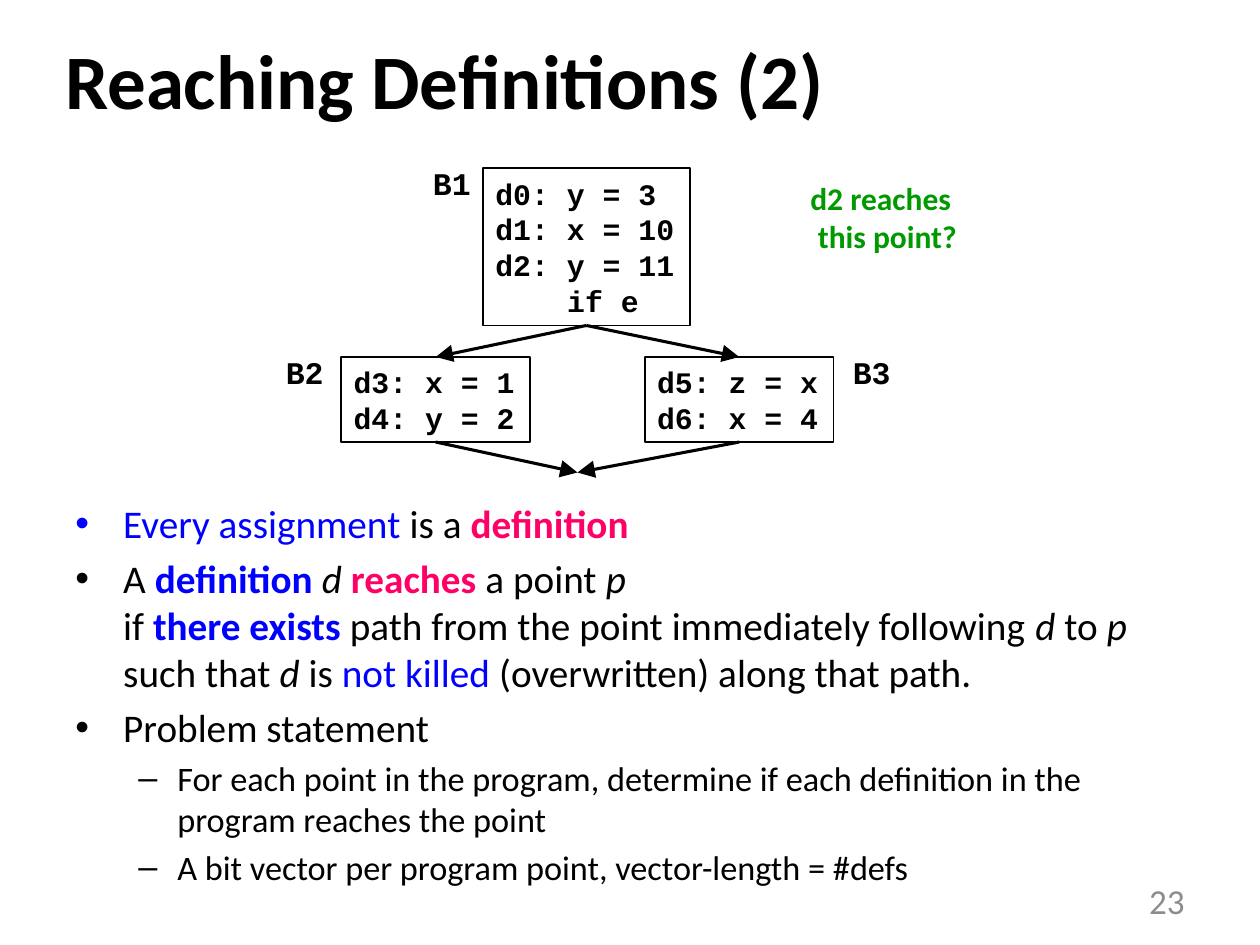
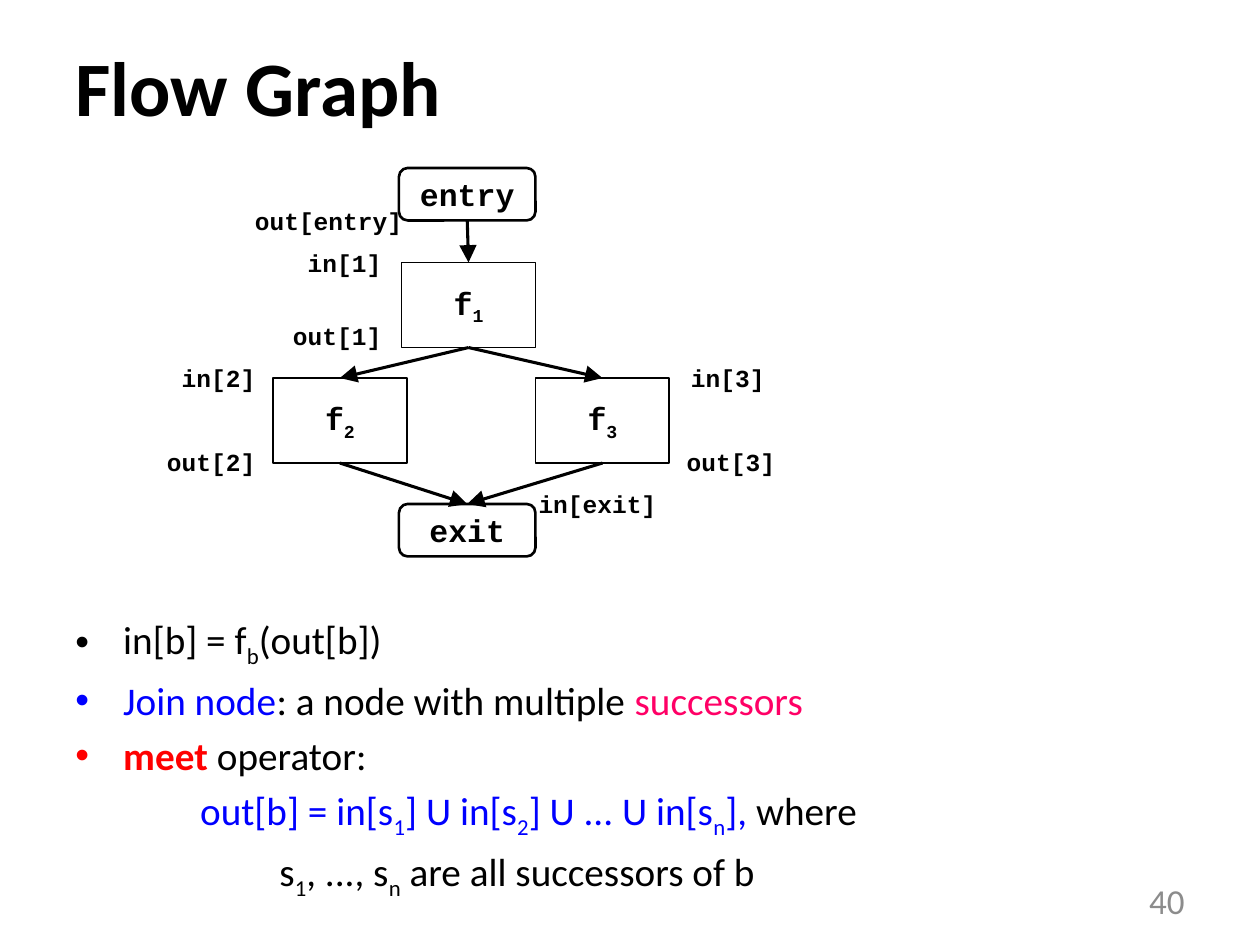
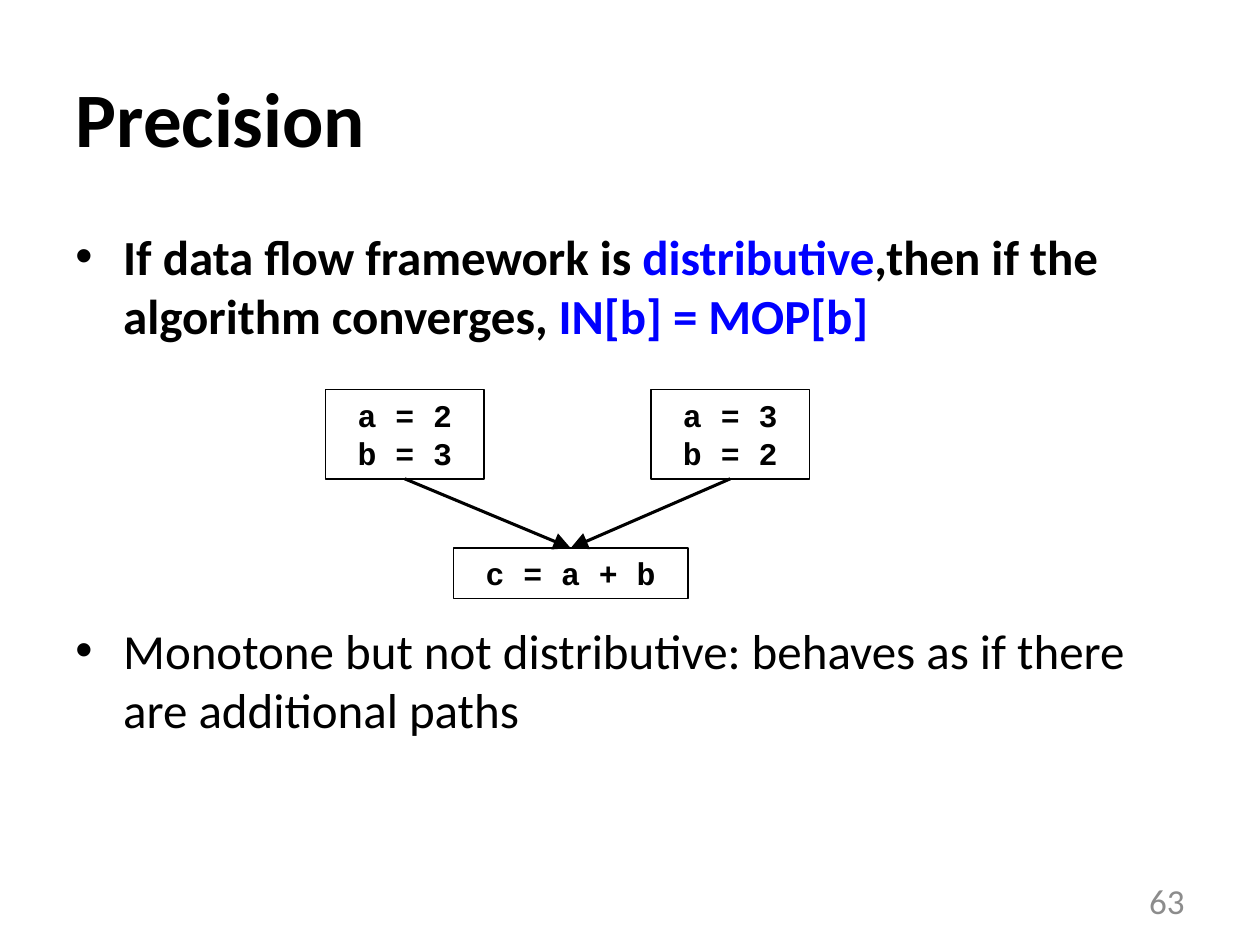
from typing import NamedTuple, Optional

import pptx
import pptx.dml.color
import pptx.enum.shapes
import pptx.enum.text
import pptx.oxml
import pptx.oxml.ns
import pptx.util

ALIGN = pptx.enum.text.PP_ALIGN
ANCHOR = pptx.enum.text.MSO_ANCHOR
SHAPE = pptx.enum.shapes.MSO_SHAPE
SLIDE_W, SLIDE_H = pptx.util.Inches(10), pptx.util.Inches(7.5)
COLS, ROWS = 120, 90
SANS, MONO = "Calibri", "Courier New"
COLORS = {
    "black": "000000",
    "blue": "0000FF",
    "pink": "FF0066",
    "red": "FF0000",
    "green": "009900",
    "gray": "8C8C8C",
}


class Box(NamedTuple):
    col: float
    row: float
    cols: float
    rows: float


class Span(NamedTuple):
    text: str
    color: str = "black"
    bold: bool = False
    italic: bool = False
    sub: bool = False


class Para(NamedTuple):
    spans: list[Span]
    size: float = 22.4
    bullet: Optional[str] = "•"
    left: float = 0.38
    hang: float = 0.38


class Node(NamedTuple):
    box: Box
    lines: list[list[Span]]
    size: float = 18
    align: ALIGN = ALIGN.CENTER
    shape: SHAPE = SHAPE.RECTANGLE
    line: float = 1


class Label(NamedTuple):
    text: str
    right: float
    row: float


def x(col: float) -> int:
    return round(SLIDE_W * col / COLS)


def y(row: float) -> int:
    return round(SLIDE_H * row / ROWS)


def place(box: Box) -> tuple[int, int, int, int]:
    return x(box.col), y(box.row), x(box.cols), y(box.rows)


def rgb(name: str) -> pptx.dml.color.RGBColor:
    return pptx.dml.color.RGBColor.from_string(COLORS[name])


def add_text(p, text: str, *, size: float, font: str = SANS, color: str = "black",
             bold: bool = False, italic: bool = False, sub: bool = False) -> None:
    for i, part in enumerate(text.split("\n")):
        if i:
            p.add_line_break()
        if not part:
            continue
        r = p.add_run()
        r.text = part
        r.font.size = pptx.util.Pt(size)
        r.font.name = font
        r.font.bold = bold
        r.font.italic = italic
        r.font.color.rgb = rgb(color)
        if sub:
            r.font._element.set("baseline", "-25000")


def indent(p, left: float, hang: float = 0, bullet: Optional[str] = None) -> None:
    pPr = p._p.get_or_add_pPr()
    pPr.set("marL", str(pptx.util.Inches(left)))
    pPr.set("indent", str(-pptx.util.Inches(hang)))
    if bullet:
        font = pptx.oxml.parse_xml(f'<a:buFont {pptx.oxml.ns.nsdecls("a")} typeface="Arial"/>')
        char = pptx.oxml.parse_xml(f'<a:buChar {pptx.oxml.ns.nsdecls("a")} char="{bullet}"/>')
        pPr.extend([font, char])


def paragraphs(tf, count: int) -> list:
    return [tf.paragraphs[0]] + [tf.add_paragraph() for _ in range(count - 1)]


def text_frame(s, box: Box, wrap: bool = True):
    tf = s.shapes.add_textbox(*place(box)).text_frame
    tf.word_wrap = wrap
    return tf


def add_body(s, box: Box, paras: list[Para]) -> None:
    tf = text_frame(s, box)
    for p, para in zip(paragraphs(tf, len(paras)), paras):
        p.space_before = pptx.util.Pt(round(para.size * 0.2, 1))
        indent(p, para.left, para.hang, para.bullet)
        for span in para.spans:
            add_text(p, size=para.size, **span._asdict())


def add_node(s, node: Node):
    sp = s.shapes.add_shape(node.shape, *place(node.box))
    sp.shadow.inherit = False
    sp.fill.background()
    sp.line.color.rgb = rgb("black")
    sp.line.width = pptx.util.Pt(node.line)
    tf = sp.text_frame
    tf.word_wrap = False
    tf.vertical_anchor = ANCHOR.MIDDLE
    for p, spans in zip(paragraphs(tf, len(node.lines)), node.lines):
        p.alignment = node.align
        for span in spans:
            add_text(p, size=node.size, font=MONO, **span._asdict())
    return sp


def add_arrow(s, start, end=None, point: tuple[float, float] = (0, 0)) -> None:
    kind = pptx.enum.shapes.MSO_CONNECTOR.STRAIGHT
    cx = s.shapes.add_connector(kind, 0, 0, x(point[0]), y(point[1]))
    cx.begin_connect(start, 2)
    if end is not None:
        cx.end_connect(end, 0)
    cx.line.color.rgb = rgb("black")
    cx.line.width = pptx.util.Pt(1.75)
    ns = pptx.oxml.ns.nsdecls("a")
    head = pptx.oxml.parse_xml(f'<a:tailEnd {ns} type="triangle" w="lg" len="lg"/>')
    cx.line._get_or_add_ln().append(head)
    cx._element.spPr.append(pptx.oxml.parse_xml(f"<a:effectLst {ns}/>"))


def add_labels(s, labels: list[Label], size: float) -> None:
    for label in labels:
        cols = len(label.text) * size * 0.1 + 3
        tf = text_frame(s, Box(label.right - cols, label.row, cols, 4))
        p = tf.paragraphs[0]
        p.alignment = ALIGN.RIGHT
        add_text(p, label.text, size=size, font=MONO, bold=True)


def add_slide(prs, title: str, number: str, col: float, row: float):
    s = prs.slides.add_slide(prs.slide_layouts[5])
    sp = s.shapes.title
    sp.left, sp.top, sp.width, sp.height = place(Box(col, row, 108, 15))
    tf = sp.text_frame
    tf.auto_size = pptx.enum.text.MSO_AUTO_SIZE.NONE
    tf.vertical_anchor = ANCHOR.MIDDLE
    tf.paragraphs[0].alignment = ALIGN.LEFT
    add_text(tf.paragraphs[0], title, size=44, bold=True)
    tf = text_frame(s, Box(86, 83.4, 28, 4.8))
    tf.vertical_anchor = ANCHOR.MIDDLE
    tf.paragraphs[0].alignment = ALIGN.RIGHT
    add_text(tf.paragraphs[0], number, size=20, color="gray")
    return s


def code(*lines: str) -> list[list[Span]]:
    return [[Span(line, bold=True)] for line in lines]


def reaching_definitions(prs) -> None:
    s = add_slide(prs, "Reaching Definitions (2)", "23", 5, 0)
    add_body(s, Box(6, 47, 108, 36), [
        Para([Span("Every assignment ", "blue"), Span("is a "), Span("definition", "pink", True)]),
        Para([
            Span("A "), Span("definition ", "blue", True), Span("d ", italic=True),
            Span("reaches", "pink", True), Span(" a point "), Span("p\n", italic=True),
            Span("if "), Span("there exists", "blue", True),
            Span(" path from the point immediately following "), Span("d", italic=True),
            Span(" to "), Span("p\n", italic=True), Span("such that "),
            Span("d", italic=True), Span(" is "), Span("not killed ", "blue"),
            Span("(overwritten) along that path."),
        ]),
        Para([Span("Problem statement")]),
        *[Para([Span(text)], 19.6, "–", 0.81, 0.31) for text in (
            "For each point in the program, determine if each definition in the "
            "program reaches the point",
            "A bit vector per program point, vector-length = #defs",
        )],
    ])
    b1_lines = code("d0: y = 3", "d1: x = 10", "d2: y = 11", "if e")
    b1 = add_node(s, Node(Box(46, 16, 19.7, 15), b1_lines, 17, ALIGN.LEFT))
    indent(b1.text_frame.paragraphs[-1], 0.57)
    branches = [
        add_node(s, Node(Box(col, 34, 18, 8.1), code(*lines), 17, ALIGN.LEFT))
        for col, lines in ((32.5, ("d3: x = 1", "d4: y = 2")), (61.4, ("d5: z = x", "d6: x = 4")))
    ]
    for branch in branches:
        add_arrow(s, b1, branch)
        add_arrow(s, branch, point=(55, 45))
    add_labels(s, [Label("B1", 46, 15), Label("B2", 32, 33), Label("B3", 86, 33)], 18)
    question = text_frame(s, Box(76, 16.5, 18, 8.5))
    for p, text in zip(paragraphs(question, 2), ("d2 reaches", "this point?")):
        add_text(p, text, size=18, color="green", bold=True)
    indent(question.paragraphs[1], 0.06)


def flow_graph(prs) -> None:
    s = add_slide(prs, "Flow Graph", "40", 6, 0.7)
    add_body(s, Box(6, 58, 108, 25), [
        Para([Span("in[b] = f"), Span("b", sub=True), Span("(out[b])")]),
        Para([Span("Join node", "blue"), Span(": a node with multiple "),
              Span("successors", "pink")]),
        Para([Span("meet", "red", True), Span(" operator:")]),
        Para([
            Span("out[b] = in[s", "blue"), Span("1", "blue", sub=True),
            Span("] U in[s", "blue"), Span("2", "blue", sub=True),
            Span("] U ... U in[s", "blue"), Span("n", "blue", sub=True),
            Span("], ", "blue"), Span("where"),
        ], bullet=None, left=0.99, hang=0),
        Para([Span("s"), Span("1", sub=True), Span(", ..., s"), Span("n", sub=True),
              Span(" are all successors of b")], bullet=None, left=1.62, hang=0),
    ])
    f1, f2, f3 = [
        add_node(s, Node(Box(col, row, 12.75, 8.1),
                         [[Span("f", bold=True), Span(index, bold=True, sub=True)]]))
        for index, col, row in (("1", 38.25, 25), ("2", 26, 36), ("3", 51, 36))
    ]
    entry, end = [
        add_node(s, Node(Box(38, row, 13, 5), code(text),
                         shape=SHAPE.ROUNDED_RECTANGLE, line=1.5))
        for text, row in (("entry", 16), ("exit", 48))
    ]
    for start, stop in ((entry, f1), (f1, f2), (f1, f3), (f2, end), (f3, end)):
        add_arrow(s, start, stop)
    add_labels(s, [
        Label("out[entry]", 39.5, 19),
        Label("in[1]", 37.5, 23), Label("out[1]", 37.5, 30),
        Label("in[2]", 25.5, 34), Label("out[2]", 25.5, 42),
        Label("in[3]", 74, 34), Label("out[3]", 75, 42),
        Label("in[exit]", 63.7, 46),
    ], 14)


def precision(prs) -> None:
    s = add_slide(prs, "Precision", "63", 6, 3.6)
    add_body(s, Box(6, 21, 108, 13), [Para([
        Span("If data flow framework is ", bold=True), Span("distributive", "blue", True),
        Span(",then if the algorithm converges, ", bold=True),
        Span("IN[b] = MOP[b]", "blue", True),
    ], 28)])
    add_body(s, Box(6, 58.5, 108, 13), [Para([Span(
        "Monotone but not distributive: behaves as if there are additional paths")], 28)])
    total = add_node(s, Node(Box(43.2, 52.2, 22.3, 4.8), code("c = a + b")))
    for col, lines in ((31, ("a = 2", "b = 3")), (62, ("a = 3", "b = 2"))):
        add_arrow(s, add_node(s, Node(Box(col, 37.1, 15.1, 8.5), code(*lines))), total)


def main() -> None:
    prs = pptx.Presentation()
    prs.slide_width, prs.slide_height = SLIDE_W, SLIDE_H
    reaching_definitions(prs)
    flow_graph(prs)
    precision(prs)
    prs.save("out.pptx")


if __name__ == "__main__":
    main()
